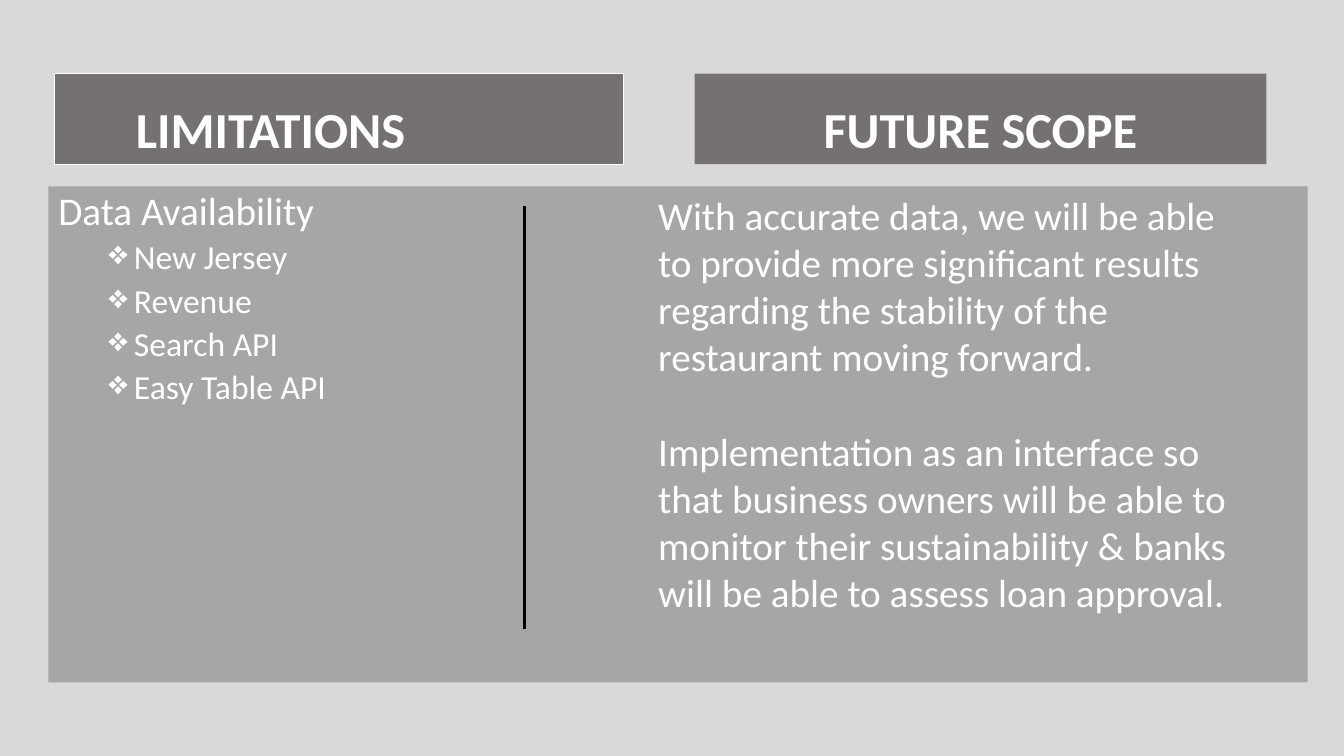
from lxml.etree import SubElement
from pptx import Presentation
from pptx.dml.color import RGBColor
from pptx.enum.shapes import MSO_CONNECTOR as Conn, MSO_SHAPE as Shape
from pptx.enum.text import MSO_ANCHOR as Anchor, PP_ALIGN as Align
from pptx.oxml.ns import qn
from pptx.util import Inches, Pt

WHITE, BLACK = "FFFFFF", "000000"
PAGE, PANEL, HEAD = "D9D9D9", "A6A6A6", "767171"
LIMITS = ["New Jersey", "Revenue", "Search API", "Easy Table API"]
SCOPE = [
    "With accurate data, we will be able to provide more significant results "
    "regarding the stability of the restaurant moving forward.",
    "Implementation as an interface so that business owners will be able to "
    "monitor their sustainability & banks will be able to assess loan approval.",
]


def color(code):
    return RGBColor.from_string(code)


class Board:
    font = "Calibri"

    def __init__(self, slide):
        self.slide = slide
        fill = slide.background.fill
        fill.solid()
        fill.fore_color.rgb = color(PAGE)

    def rect(self, left, top, width, height, fill, edge=None):
        box = self.slide.shapes.add_shape(
            Shape.RECTANGLE, *map(Inches, (left, top, width, height)))
        box.shadow.inherit = False
        box.fill.solid()
        box.fill.fore_color.rgb = color(fill)
        if edge:
            box.line.color.rgb = color(edge)
            box.line.width = Pt(0.75)
        else:
            box.line.fill.background()
        frame = box.text_frame
        frame.word_wrap = True
        frame.vertical_anchor = Anchor.TOP
        return frame

    def text(self, left, top, width, height):
        box = self.slide.shapes.add_textbox(
            *map(Inches, (left, top, width, height)))
        box.text_frame.word_wrap = True
        return box.text_frame

    def para(self, frame, words, size, bold=False, align=Align.LEFT,
             gap=0, pitch=1.0, mark=None):
        """Fill the empty first paragraph of the frame, or add one after it."""
        first = frame.paragraphs[0]
        para = frame.add_paragraph() if first.runs else first
        para.alignment = align
        para.line_spacing = pitch
        para.space_before = Pt(gap)
        if mark:
            para.level = 1
            props = para._p.get_or_add_pPr()
            props.set("marL", str(Inches(0.75)))
            props.set("indent", str(Inches(-0.25)))
            SubElement(props, qn("a:buChar"), char=mark)
        run = para.add_run()
        run.text = words
        run.font.name = self.font
        run.font.size = Pt(size)
        run.font.bold = bold
        run.font.color.rgb = color(WHITE)

    def head(self, words, left, width, edge=None, right=0.1):
        frame = self.rect(left, 0.73, width, 0.9, HEAD, edge)
        frame.vertical_anchor = Anchor.BOTTOM
        frame.margin_right = Inches(right)
        self.para(frame, words, 36, bold=True, align=Align.CENTER, pitch=0.9)

    def line(self, x, top, end):
        rule = self.slide.shapes.add_connector(
            Conn.STRAIGHT, *map(Inches, (x, top, x, end)))
        rule.line.color.rgb = color(BLACK)
        rule.line.width = Pt(2.5)
        SubElement(rule._element.spPr, qn("a:effectLst"))


def main():
    deck = Presentation()
    deck.slide_width, deck.slide_height = Inches(13.33), Inches(7.5)
    board = Board(deck.slides.add_slide(deck.slide_layouts[6]))

    board.head("LIMITATIONS", 0.54, 5.64, edge=WHITE, right=1.45)
    panel = board.rect(0.48, 1.85, 12.49, 4.92, PANEL)
    board.para(panel, "Data Availability", 28, pitch=0.9)
    for limit in LIMITS:
        board.para(panel, limit, 24, gap=5, pitch=0.9, mark="❖")

    board.head("FUTURE SCOPE", 6.89, 5.67)
    board.line(5.2, 2.04, 6.24)
    scope = board.text(6.43, 1.85, 5.9, 4.34)
    for words, gap in zip(SCOPE, (0, 34)):
        board.para(scope, words, 28, gap=gap)

    deck.save("out.pptx")


if __name__ == "__main__":
    main()
